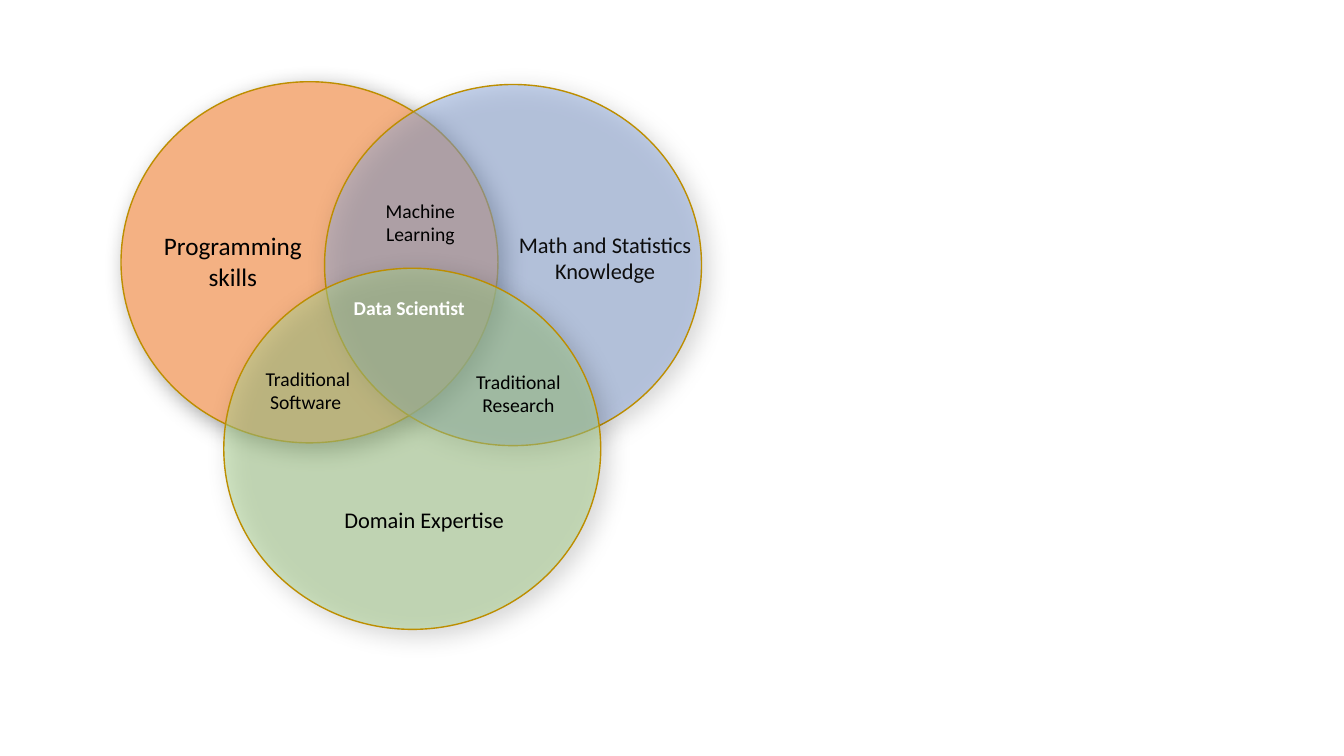
from lxml import etree
from pptx import Presentation
from pptx.dml.color import RGBColor
from pptx.enum.shapes import MSO_SHAPE
from pptx.enum.text import MSO_AUTO_SIZE, PP_ALIGN
from pptx.oxml.ns import qn
from pptx.util import Cm, Pt

ELLIPSE = MSO_SHAPE.OVAL
GROW = MSO_AUTO_SIZE.SHAPE_TO_FIT_TEXT
LEFT, CENTER = PP_ALIGN.LEFT, PP_ALIGN.CENTER

ORANGE = RGBColor(0xF4, 0xB1, 0x83)
BLUE = RGBColor(0x8F, 0xAA, 0xDC)
GREEN = RGBColor(0xA9, 0xD1, 0x8E)
GOLD = RGBColor(0xBD, 0x8E, 0x00)
BLACK = RGBColor(0, 0, 0)
NEAR_BLACK = RGBColor(0x0D, 0x0D, 0x0D)
WHITE = RGBColor(0xFF, 0xFF, 0xFF)

FONT = "Calibri"
CIRCLE_W, CIRCLE_H = Cm(9.5), Cm(9.1)


def set_alpha(color, percent):
    etree.SubElement(color, qn("a:alpha"), val=str(percent * 1000))


def add_shadow(sp, percent):
    sp.shadow.inherit = False
    effects = sp._element.spPr.find(qn("a:effectLst"))
    shadow = etree.SubElement(
        effects, qn("a:outerShdw"), blurRad=str(Pt(17)), dist=str(Pt(6)),
        dir=str(45 * 60000), algn="tl", rotWithShape="0")
    set_alpha(etree.SubElement(shadow, qn("a:srgbClr"), val=str(BLACK)), percent)


def add_circle(shapes, left, top, color, opacity, shadow):
    sp = shapes.add_shape(ELLIPSE, Cm(left), Cm(top), CIRCLE_W, CIRCLE_H)
    sp.fill.solid()
    sp.fill.fore_color.rgb = color
    if opacity < 100:
        set_alpha(sp._element.spPr.find(qn("a:solidFill"))[0], opacity)
    sp.line.color.rgb = GOLD
    sp.line.width = Pt(1)
    add_shadow(sp, shadow)


def add_label(shapes, left, top, width, height, lines, size,
              color=BLACK, bold=False, align=CENTER, wrap=True):
    sp = shapes.add_textbox(Cm(left), Cm(top), Cm(width), Cm(height))
    tf = sp.text_frame
    tf.word_wrap = wrap
    tf.auto_size = GROW
    tf.text = lines
    for p in tf.paragraphs:
        p.alignment = align
        for r in p.runs:
            r.font.name = FONT
            r.font.size = Pt(size)
            r.font.bold = bold
            r.font.color.rgb = color


def main():
    prs = Presentation()
    prs.slide_width, prs.slide_height = Cm(33.87), Cm(19.05)
    slide = prs.slides.add_slide(prs.slide_layouts[6])
    venn = slide.shapes.add_group_shape().shapes

    add_circle(venn, 3.05, 2.06, ORANGE, 100, 39)
    add_circle(venn, 8.18, 2.13, BLUE, 50, 31)
    add_circle(venn, 5.64, 6.76, GREEN, 50, 31)

    add_label(venn, 3.56, 5.69, 4.62, 1.8, "Programming skills", 18)
    add_label(venn, 12.19, 5.69, 6.12, 1.63,
              "Math and Statistics Knowledge", 16, NEAR_BLACK)
    add_label(venn, 8.43, 12.62, 4.6, 0.94, "Domain Expertise", 16,
              align=LEFT, wrap=False)
    add_label(venn, 9.12, 4.88, 2.95, 1.45, "Machine Learning", 14)
    add_label(venn, 11.53, 9.19, 3.07, 1.45, "Traditional Research", 14)
    add_label(venn, 6.12, 9.12, 3.28, 1.45, "Traditional\nSoftware ", 14)
    add_label(venn, 8.46, 7.32, 3.71, 0.86, "Data Scientist", 14, WHITE, True)

    prs.save("out.pptx")


if __name__ == "__main__":
    main()
